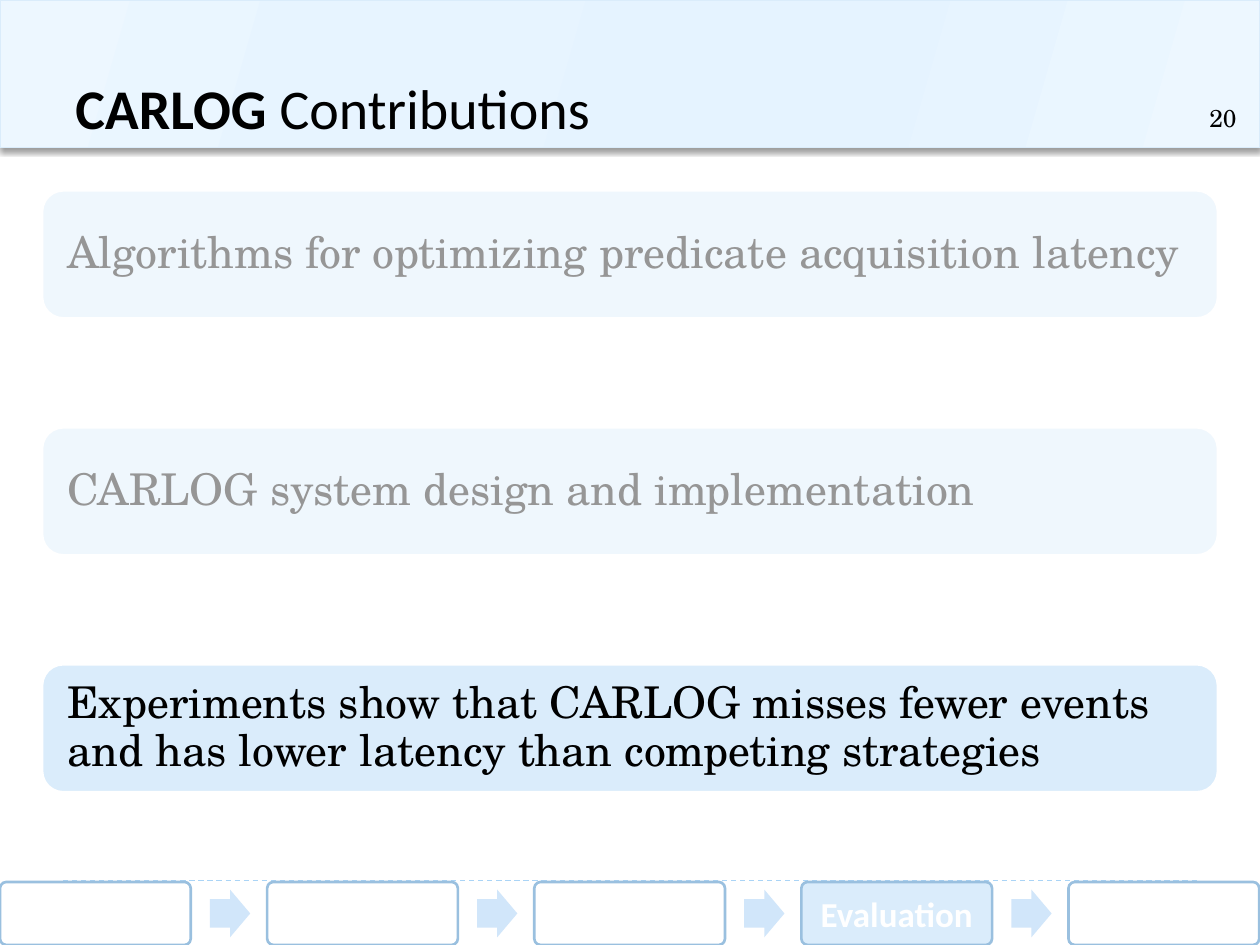
from lxml.etree import SubElement
from pptx import Presentation
from pptx.dml.color import RGBColor
from pptx.enum.dml import MSO_LINE
from pptx.enum.shapes import MSO_CONNECTOR, MSO_SHAPE as SHAPE
from pptx.enum.text import MSO_ANCHOR as ANCHOR, PP_ALIGN as ALIGN
from pptx.oxml.ns import qn
from pptx.util import Pt

SERIF, SANS = "TeX Gyre Schola", "Calibri"
BLACK, WHITE, PALE_BLUE = "000000", "FFFFFF", "DAECFB"
HEADER_HEIGHT = 84.2
HEADER_STOPS = [(0, "EDF7FF"), (30, "E7F4FF"), (45, "E5F3FF"),
                (55, "E5F3FF"), (73, "E7F4FF"), (100, "EDF7FF")]
CONTRIBUTIONS = [
    "Algorithms for optimizing predicate acquisition latency",
    "CARLOG system design and implementation",
    "Experiments show that CARLOG misses fewer events and has lower latency "
    "than competing strategies",
]
STEPS = ["", "", "", "Evaluation", ""]


def rgb(color):
    """Turn a hex string into a colour."""
    return RGBColor.from_string(color)


def add_color(parent, color, alpha=None):
    """Append a colour element with optional opacity in percent."""
    tint = SubElement(parent, qn("a:srgbClr"), val=color)
    if alpha is not None:
        SubElement(tint, qn("a:alpha"), val=str(alpha * 1000))


def add_block(slide, kind, box, fill, line=None, weight=1.5, adjust=()):
    """Draw a flat preset shape."""
    block = slide.shapes.add_shape(kind, *map(Pt, box))
    block.shadow.inherit = False
    block.fill.solid()
    block.fill.fore_color.rgb = rgb(fill)
    if line:
        block.line.color.rgb = rgb(line)
        block.line.width = Pt(weight)
    else:
        block.line.fill.background()
    for index, value in enumerate(adjust):
        block.adjustments[index] = value
    return block


def write(holder, text, size, font, color, anchor=ANCHOR.TOP,
          align=ALIGN.LEFT, bold=False, inset=(7.2, 3.6)):
    """Put one styled paragraph into a shape and return it."""
    frame = holder.text_frame
    frame.word_wrap = True
    frame.vertical_anchor = anchor
    frame.margin_left = frame.margin_right = Pt(inset[0])
    frame.margin_top = frame.margin_bottom = Pt(inset[1])
    frame.text = text
    paragraph = frame.paragraphs[0]
    paragraph.alignment = align
    for run in paragraph.runs:
        run.font.size, run.font.name, run.font.bold = Pt(size), font, bold
        run.font.color.rgb = rgb(color)
    return paragraph


def add_rule(slide, y):
    """Draw a dashed horizontal rule."""
    rule = slide.shapes.add_connector(
        MSO_CONNECTOR.STRAIGHT, Pt(36), Pt(y), Pt(684), Pt(y))
    rule.line.color.rgb = rgb("AAD4F6")
    rule.line.width = Pt(0.75)
    rule.line.dash_style = MSO_LINE.DASH
    SubElement(rule._element.spPr, qn("a:effectLst"))


def add_header(slide):
    """Draw the gradient band with its shadow, title and slide number."""
    band = add_block(slide, SHAPE.RECTANGLE, (0, 0, 720, HEADER_HEIGHT),
                     PALE_BLUE, PALE_BLUE, 0.75)
    band.fill.gradient()
    properties = band._element.spPr
    gradient = properties.find(qn("a:gradFill"))
    for child in list(gradient):
        gradient.remove(child)
    stops = SubElement(gradient, qn("a:gsLst"))
    for position, color in HEADER_STOPS:
        add_color(SubElement(stops, qn("a:gs"), pos=str(position * 1000)), color)
    SubElement(gradient, qn("a:lin"), ang=str(16 * 60000), scaled="1")
    shadow = SubElement(properties.find(qn("a:effectLst")), qn("a:outerShdw"),
                        blurRad=str(Pt(3)), dist=str(Pt(2)),
                        dir=str(90 * 60000), rotWithShape="0")
    add_color(shadow, BLACK, 40)

    title = slide.shapes.add_textbox(Pt(36), Pt(24), Pt(648), Pt(59.8))
    heading = write(title, "CARLOG", 32, SANS, BLACK, ANCHOR.BOTTOM, bold=True)
    rest = heading.add_run()
    rest.text = " Contributions"
    rest.font.size, rest.font.name, rest.font.bold = Pt(32), SANS, False
    rest.font.color.rgb = rgb(BLACK)
    number = slide.shapes.add_textbox(Pt(684), Pt(55.4), Pt(36), Pt(28.8))
    write(number, "20", 14, SERIF, BLACK)


def add_contribution(slide, index, text):
    """Draw one contribution card."""
    card = add_block(slide, SHAPE.ROUNDED_RECTANGLE,
                     (24, 108.8 + 135.4 * index, 672, 73.2), PALE_BLUE, WHITE)
    paragraph = write(card, text, 25, SERIF, BLACK, ANCHOR.MIDDLE,
                      inset=(10.8, 10.8))
    paragraph.line_spacing = 0.9


def add_veil(slide, box):
    """Dim an area with translucent white."""
    veil = add_block(slide, SHAPE.RECTANGLE, box, WHITE)
    tint = veil._element.spPr.find(qn("a:solidFill"))[0]
    SubElement(tint, qn("a:alpha"), val="59000")


def add_progress(slide):
    """Draw the row of steps joined by block arrows."""
    for index, label in enumerate(STEPS):
        left = 152.64 * index
        step = add_block(slide, SHAPE.ROUNDED_RECTANGLE, (left, 504, 109, 36),
                         PALE_BLUE if label else WHITE, "9AC0DF", adjust=[0.1])
        if label:
            write(step, label, 20, SANS, WHITE, ANCHOR.MIDDLE, ALIGN.CENTER,
                  bold=True)
        if index < len(STEPS) - 1:
            add_block(slide, SHAPE.RIGHT_ARROW, (left + 120, 508.4, 23, 27.2),
                      "D1E6FA", adjust=[0.6, 0.5])


def main():
    """Build and save the slide."""
    deck = Presentation()
    deck.slide_width, deck.slide_height = Pt(720), Pt(540)
    slide = deck.slides.add_slide(deck.slide_layouts[6])
    for y in (503.3, HEADER_HEIGHT):
        add_rule(slide, y)
    add_header(slide)
    for index, text in enumerate(CONTRIBUTIONS):
        add_contribution(slide, index, text)
    add_veil(slide, (18, 101, 690, 108))
    add_veil(slide, (12, 216, 690, 132))
    add_progress(slide)
    deck.save("out.pptx")


if __name__ == "__main__":
    main()
